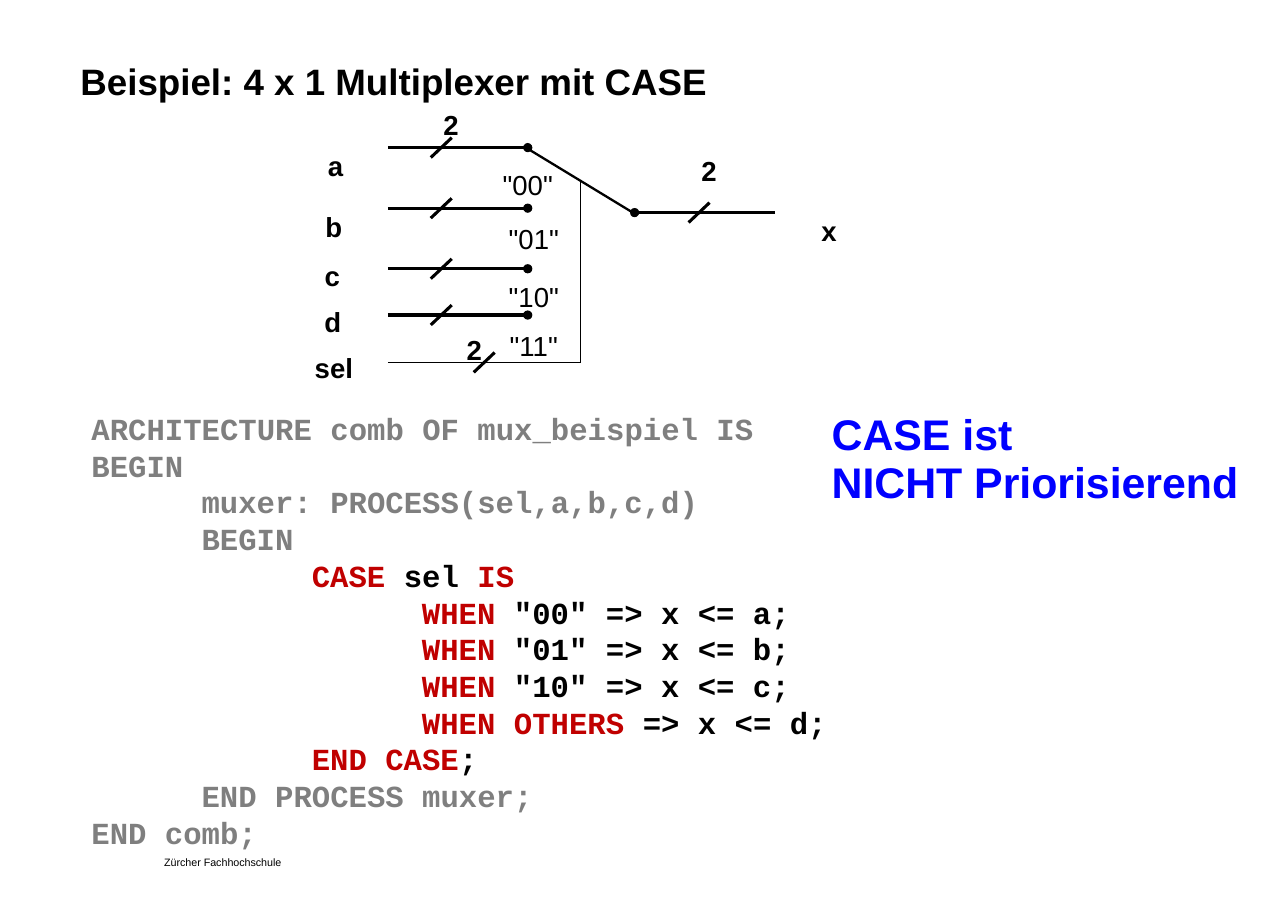
from lxml.etree import SubElement
from pptx import Presentation
from pptx.dml.color import RGBColor
from pptx.enum.shapes import MSO_CONNECTOR as Connector
from pptx.enum.text import MSO_ANCHOR as Anchor, MSO_AUTO_SIZE as AutoSize, PP_ALIGN as Align
from pptx.oxml.ns import qn
from pptx.util import Pt

PX = 9144  # 100 px to the inch
WIDTH, HEIGHT = 1169, 827
BLACK, GRAY, RED, BLUE = "000000", "7F7F7F", "C00000", "0000FF"

TITLE = "Beispiel: 4 x 1 Multiplexer mit CASE"
FOOTER = "Zürcher Fachhochschule"
REMARK = ["CASE ist", "NICHT Priorisierend"]

# One line of code: number of tabs, then runs of (text, colour)
CODE = [
    (0, [("ARCHITECTURE comb OF mux_beispiel IS", GRAY)]),
    (0, [("BEGIN", GRAY)]),
    (1, [("muxer: PROCESS(sel,a,b,c,d)", GRAY)]),
    (1, [("BEGIN", GRAY)]),
    (2, [("CASE ", RED), ("sel ", BLACK), ("IS", RED)]),
    (3, [("WHEN ", RED), ('"00" => x <= a;', BLACK)]),
    (3, [("WHEN ", RED), ('"01" => x <= b;', BLACK)]),
    (3, [("WHEN ", RED), ('"10" => x <= c;', BLACK)]),
    (3, [("WHEN OTHERS", RED), (" => x <= d;", BLACK)]),
    (2, [("END CASE", RED), (";", BLACK)]),
    (1, [("END PROCESS muxer;", GRAY)]),
    (0, [("END comb;", GRAY)]),
]
CODE_TABS = [100, 200, 300]

# Text, left, top, width, height
SIGNAL_LABELS = [
    ("a", 286, 115, 37, 57), ("b", 284, 170, 38, 57), ("c", 283, 215, 37, 57),
    ("d", 283, 256, 38, 51), ("sel", 274, 298, 58, 57), ("x", 734, 174, 37, 57),
    ("2", 391, 78, 37, 57), ("2", 412, 282, 37, 57), ("2", 625, 119, 37, 57),
]
SELECT_LABELS = [
    ('"00"', 440, 132, 78, 54), ('"01"', 450, 181, 69, 54),
    ('"10"', 450, 234, 69, 54), ('"11"', 451, 278, 67, 54),
]

INPUT_WIRES = [134, 189, 244, 286]
WIRE_LEFT, CONTACT, PIVOT, WIRE_RIGHT = 352, 479, 576, 703
OUTPUT_Y, SEL_X, SEL_Y = 193, 527, 329
BUS_MARKS = [(400, y) for y in INPUT_WIRES] + [(634, OUTPUT_Y), (439, SEL_Y)]


def color(value):
    return RGBColor.from_string(value)


def add_text(slide, box, lines, size, spacing, font="Arial", bold=True,
             align=Align.LEFT, margins=(11, 6), wrap=False, tabs=()):
    """Add a text box; each line is a list of (text, colour) runs."""
    shape = slide.shapes.add_textbox(*(value * PX for value in box))
    frame = shape.text_frame
    side, top = (margin * PX for margin in margins)
    frame_format = {
        "margin_left": side, "margin_right": side, "margin_top": top, "margin_bottom": top,
        "word_wrap": wrap, "auto_size": AutoSize.SHAPE_TO_FIT_TEXT, "vertical_anchor": Anchor.TOP,
    }
    for name, value in frame_format.items():
        setattr(frame, name, value)
    paragraph = frame.paragraphs[0]
    paragraph.alignment = align
    paragraph.line_spacing = Pt(spacing)
    if tabs:
        tab_list = SubElement(paragraph._p.get_or_add_pPr(), qn("a:tabLst"))
        for position in tabs:
            SubElement(tab_list, qn("a:tab"), pos=str(position * PX), algn="l")
    for index, runs in enumerate(lines):
        if index:
            paragraph.add_line_break()
        for text, text_color in runs:
            run = paragraph.add_run()
            run.text = text
            for name, value in {"name": font, "size": Pt(size), "bold": bold}.items():
                setattr(run.font, name, value)
            run.font.color.rgb = color(text_color)


def add_line(slide, start, end, width=2.0, dot=None):
    """Add a black line; dot is 'headEnd' or 'tailEnd' for a round contact."""
    points = (value * PX for value in (*start, *end))
    connector = slide.shapes.add_connector(Connector.STRAIGHT, *points)
    connector.line.width = Pt(width)
    connector.line.color.rgb = color(BLACK)
    properties = connector._element.spPr
    if dot:
        SubElement(properties.find(qn("a:ln")), qn(f"a:{dot}"), type="oval")
    SubElement(properties, qn("a:effectLst"))


def draw_multiplexer(slide):
    for y in INPUT_WIRES:
        add_line(slide, (WIRE_LEFT, y), (CONTACT, y), dot="tailEnd")
    add_line(slide, (PIVOT, OUTPUT_Y), (WIRE_RIGHT, OUTPUT_Y), dot="headEnd")
    add_line(slide, (CONTACT, INPUT_WIRES[0] + 1), (PIVOT, OUTPUT_Y + 1), 1.5)
    add_line(slide, (WIRE_LEFT, SEL_Y), (SEL_X, SEL_Y), 0.75)
    add_line(slide, (SEL_X, SEL_Y), (SEL_X, 163), 0.75)
    for x, y in BUS_MARKS:
        add_line(slide, (x + 10, y - 9), (x - 9, y + 9))
    for labels, bold in ((SIGNAL_LABELS, True), (SELECT_LABELS, False)):
        for text, *box in labels:
            add_text(slide, box, [[(text, BLACK)]], 18, 32, bold=bold, align=Align.CENTER)


def main():
    presentation = Presentation()
    presentation.slide_width, presentation.slide_height = WIDTH * PX, HEIGHT * PX
    slide = presentation.slides.add_slide(presentation.slide_layouts[6])
    add_text(slide, (73, 49, 967, 87), [[(TITLE, BLACK)]], 24, 32, margins=(0, 0), wrap=True)
    code_lines = [[("\t" * tabs + runs[0][0], runs[0][1]), *runs[1:]] for tabs, runs in CODE]
    add_text(slide, (72, 366, 995, 415), code_lines, 20, 24, font="Courier New", wrap=True,
             tabs=CODE_TABS)
    draw_multiplexer(slide)
    add_text(slide, (745, 367, 393, 100), [[(line, BLUE)] for line in REMARK], 28, 32,
             margins=(10, 5))
    add_text(slide, (149, 779, 132, 10), [[(FOOTER, BLACK)]], 7, 7, bold=False,
             margins=(0, 0), wrap=True)
    presentation.save("out.pptx")


if __name__ == "__main__":
    main()
